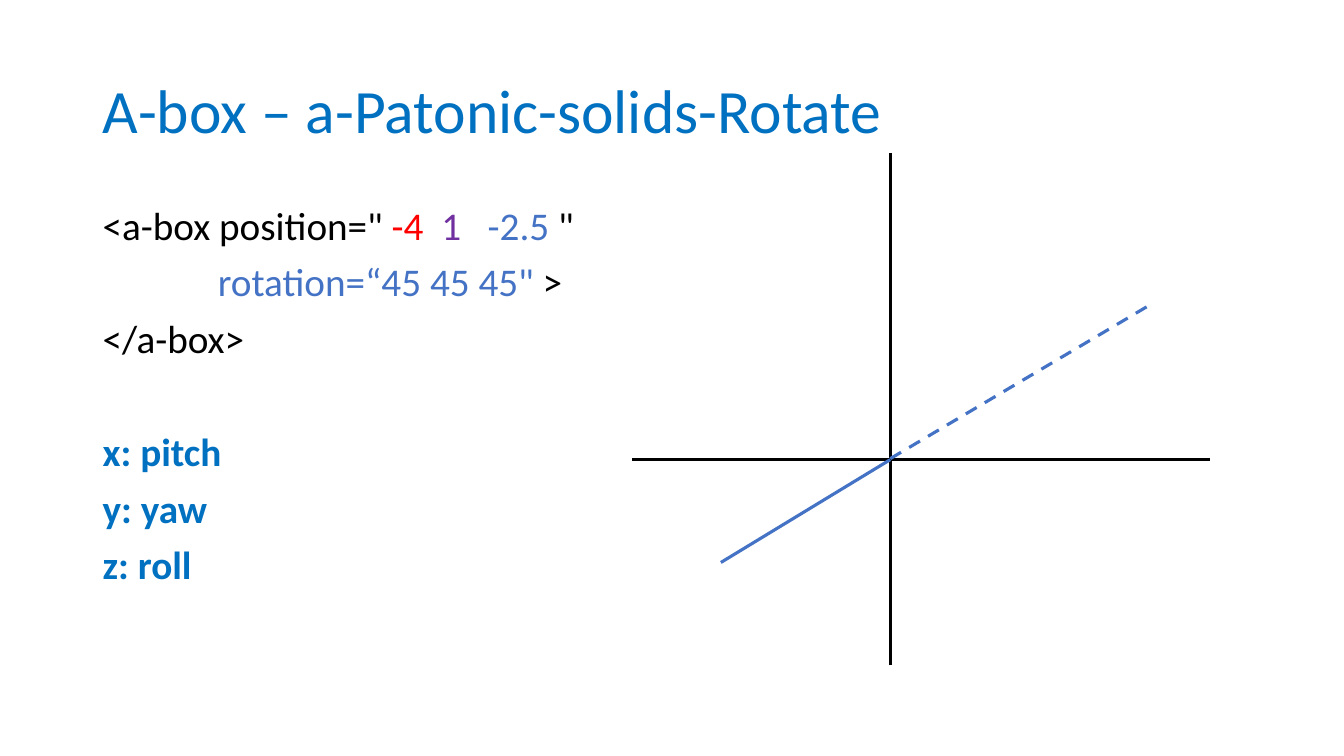
import pptx
import pptx.util
import pptx.dml.color
import pptx.enum.dml
import pptx.enum.shapes
import pptx.enum.text
import pptx.oxml.ns
import lxml.etree

Inches = pptx.util.Inches
Pt = pptx.util.Pt
RGBColor = pptx.dml.color.RGBColor

BLACK = RGBColor(0x00, 0x00, 0x00)
RED = RGBColor(0xFF, 0x00, 0x00)
PURPLE = RGBColor(0x70, 0x30, 0xA0)
BLUE = RGBColor(0x44, 0x72, 0xC4)
AZURE = RGBColor(0x00, 0x70, 0xC0)
FACE = "Calibri"

deck = pptx.Presentation()
deck.slide_width = Inches(13.33)
deck.slide_height = Inches(7.5)
slide = deck.slides.add_slide(deck.slide_layouts[5])

title = slide.shapes.title
title.left, title.top = Inches(0.92), Inches(0.4)
title.width, title.height = Inches(11.5), Inches(1.45)
title.text_frame.text = "A-box – a-Patonic-solids-Rotate"
title.text_frame.vertical_anchor = pptx.enum.text.MSO_ANCHOR.MIDDLE
head = title.text_frame.paragraphs[0]
head.alignment = pptx.enum.text.PP_ALIGN.LEFT
head.line_spacing = 0.9
head.font.name = FACE
head.font.size = Pt(44)
head.font.color.rgb = AZURE

lines = [
    (0, False, [("<a-box position=\"", BLACK), (" -4  ", RED), ("1   ", PURPLE),
                ("-2.5 ", BLUE), ("\"", BLACK)]),
    (10, False, [("             rotation=“45 45 45\" ", BLUE), (">", BLACK)]),
    (10, False, [("</a-box>", BLACK)]),
    (51, True, [("x: pitch", AZURE)]),
    (10, True, [("y: yaw", AZURE)]),
    (10, True, [("z: roll", AZURE)]),
]
body = slide.shapes.add_textbox(Inches(0.92), Inches(2), Inches(11.5), Inches(4.76))
frame = body.text_frame
frame.word_wrap = True
for row, (gap, bold, parts) in enumerate(lines):
    para = frame.add_paragraph() if row else frame.paragraphs[0]
    para.line_spacing = 0.9
    para.space_before = Pt(gap)
    para.font.name = FACE
    para.font.size = Pt(28)
    para.font.bold = bold
    for text, color in parts:
        run = para.add_run()
        run.text = text
        run.font.color.rgb = color

axes = [
    (6.27, 4.56, 12, 4.56, BLACK, False),
    (8.83, 6.6, 8.83, 1.52, BLACK, False),
    (7.15, 5.58, 8.83, 4.56, BLUE, False),
    (8.83, 4.55, 11.38, 3.04, BLUE, True),
]
for x1, y1, x2, y2, color, dashed in axes:
    axis = slide.shapes.add_connector(
        pptx.enum.shapes.MSO_CONNECTOR.STRAIGHT,
        Inches(x1), Inches(y1), Inches(x2), Inches(y2))
    axis.line.color.rgb = color
    axis.line.width = Pt(2.25)
    if dashed:
        axis.line.dash_style = pptx.enum.dml.MSO_LINE.DASH
    lxml.etree.SubElement(axis._element.spPr, pptx.oxml.ns.qn("a:effectLst"))

deck.save("out.pptx")
